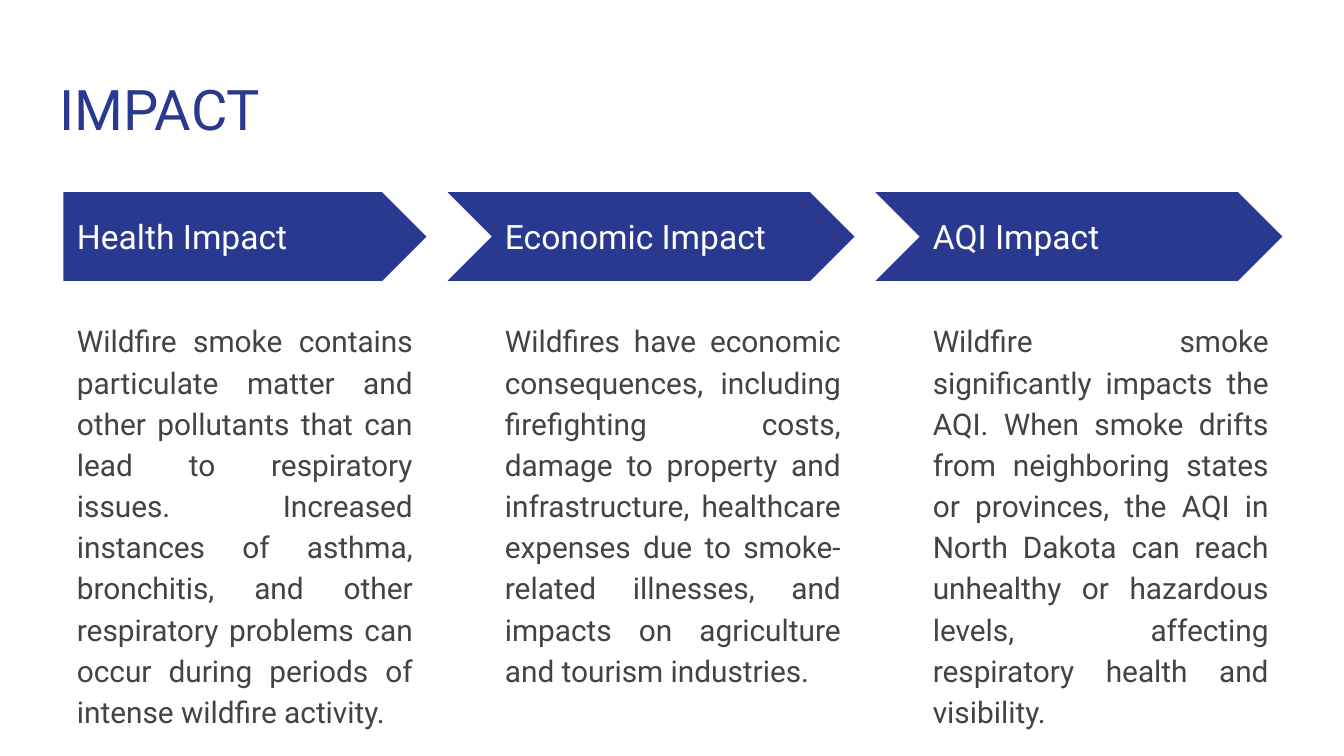
from pptx import Presentation
from pptx import util as u
from pptx.dml.color import RGBColor
from pptx.enum import shapes, text

PX = 3175
NAVY = RGBColor(0x2A, 0x39, 0x90)
GRAY = RGBColor(0x43, 0x43, 0x43)
WHITE = RGBColor(0xFF, 0xFF, 0xFF)
FONT = "Roboto"
INSET = 29

COLUMN_PITCH = 917
COLUMN_WIDTH = 778
ARROW_HEIGHT = 190
CHEVRON_NOTCH = 94
LABEL_WIDTH = 711
LABEL_HEIGHT = 98
BODY_OFFSET = 240
BODY_HEIGHT = 835

IMPACTS = [
    ("Health Impact",
     "Wildfire smoke contains particulate matter and other pollutants that can "
     "lead to respiratory issues. Increased instances of asthma, bronchitis, and "
     "other respiratory problems can occur during periods of intense wildfire "
     "activity."),
    ("Economic Impact",
     "Wildfires have economic consequences, including firefighting costs, damage "
     "to property and infrastructure, healthcare expenses due to smoke-related "
     "illnesses, and impacts on agriculture and tourism industries."),
    ("AQI Impact",
     "Wildfire smoke significantly impacts the AQI. When smoke drifts from "
     "neighboring states or provinces, the AQI in North Dakota can reach "
     "unhealthy or hazardous levels, affecting respiratory health and "
     "visibility."),
]


def px(*lengths):
    """Turn whole px lengths into EMU."""
    return [u.Emu(length * PX) for length in lengths]


def write(shape, words, size, color, anchor=text.MSO_ANCHOR.TOP,
          align=text.PP_ALIGN.LEFT):
    """Fill a text shape with one formatted paragraph and return it."""
    frame = shape.text_frame
    frame.text = words
    frame.word_wrap = True
    frame.auto_size = text.MSO_AUTO_SIZE.NONE
    frame.vertical_anchor = anchor
    frame.margin_left, frame.margin_top, frame.margin_right, frame.margin_bottom = (
        px(INSET, INSET, INSET, INSET))
    para = frame.paragraphs[0]
    para.alignment = align
    font = para.runs[0].font
    font.name, font.size = FONT, u.Pt(size)
    font.color.rgb = color
    return para


def add_title(page, left, top, width, height):
    """Place the title placeholder in the given box."""
    title = page.shapes.title
    title.left, title.top, title.width, title.height = px(left, top, width, height)
    write(title, "IMPACT", 30, NAVY)


def add_arrow(page, kind, left, top, width):
    """Draw one navy arrow of the process row."""
    arrow = page.shapes.add_shape(kind, *px(left, top, width, ARROW_HEIGHT))
    arrow.adjustments[0] = 0.5
    arrow.shadow.inherit = False
    arrow.fill.solid()
    arrow.fill.fore_color.rgb = NAVY
    arrow.line.fill.background()


def add_column(page, left, top, heading, body, is_first):
    """Stack an arrow, its heading and its paragraph from the column's corner."""
    if is_first:
        add_arrow(page, shapes.MSO_SHAPE.PENTAGON, left, top, COLUMN_WIDTH)
    else:
        add_arrow(page, shapes.MSO_SHAPE.CHEVRON, left - CHEVRON_NOTCH, top,
                  COLUMN_WIDTH + CHEVRON_NOTCH)
    label_top = top + (ARROW_HEIGHT - LABEL_HEIGHT) // 2
    label = page.shapes.add_textbox(*px(left, label_top, LABEL_WIDTH, LABEL_HEIGHT))
    write(label, heading, 18, WHITE, anchor=text.MSO_ANCHOR.MIDDLE)
    box = page.shapes.add_textbox(
        *px(left, top + BODY_OFFSET, COLUMN_WIDTH, BODY_HEIGHT))
    para = write(box, body, 16, GRAY, align=text.PP_ALIGN.JUSTIFY)
    para.line_spacing = 1.15
    para.space_after = u.Pt(8)


def add_columns(page, left, top):
    """Set the impact columns side by side at an equal pitch."""
    for index, (heading, body) in enumerate(IMPACTS):
        add_column(page, left + index * COLUMN_PITCH, top, heading, body, index == 0)


def main():
    """Build the impact slide and save it."""
    deck = Presentation()
    deck.slide_width, deck.slide_height = px(2880, 1620)
    page = deck.slides.add_slide(deck.slide_layouts.get_by_name("Title Only"))
    add_title(page, 98, 130, 2684, 190)
    add_columns(page, 136, 412)
    deck.save("out.pptx")


if __name__ == "__main__":
    main()
